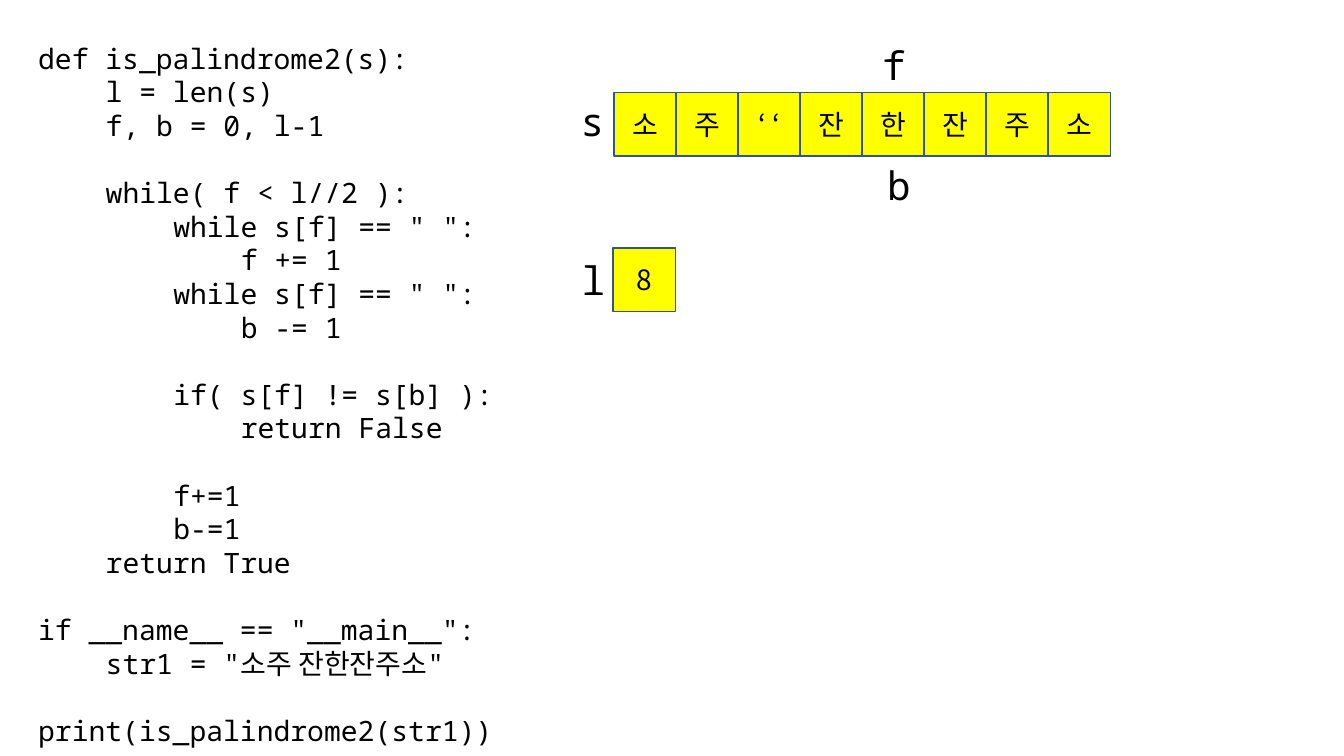
from lxml.etree import SubElement
from pptx import Presentation
from pptx.dml.color import RGBColor
from pptx.enum.shapes import MSO_SHAPE
from pptx.enum.text import MSO_ANCHOR, PP_ALIGN
from pptx.oxml.ns import qn
from pptx.util import Inches, Pt

BLACK = RGBColor(0x00, 0x00, 0x00)
YELLOW = RGBColor(0xFF, 0xFF, 0x00)
NAVY = RGBColor(0x32, 0x54, 0x91)
MONO = "Noto Sans Mono"
KOREAN = "Noto Sans CJK KR"
CODE_SIZE, NAME_SIZE = 20, 28
INDENT = Inches(0.67)
BLANK_LINE = Pt(24)
CELL_STEP, CELL_WIDTH, CELL_HEIGHT = 0.615, 0.62, 0.63
NAME_WIDTH, NAME_HEIGHT = 0.42, 0.57

CODE_BLOCKS = [
    [(0, "def is_palindrome2(s):"), (1, "l = len(s)"), (1, "f, b = 0, l-1")],
    [
        (1, "while( f < l//2 ):"),
        (2, 'while s[f] == " ":'),
        (3, "f += 1"),
        (2, 'while s[f] == " ":'),
        (3, "b -= 1"),
    ],
    [(2, "if( s[f] != s[b] ):"), (3, "return False")],
    [(2, "f+=1"), (2, "b-=1"), (1, "return True")],
    [(0, 'if __name__ == "__main__":'), (1, 'str1 = "소주 잔한잔주소"')],
    [(0, "print(is_palindrome2(str1))")],
]
LETTERS = ["소", "주", "‘ ‘", "잔", "한", "잔", "주", "소"]
NAMES = [("s", 5.66, 0.92), ("f", 8.65, 0.36), ("b", 8.7, 1.55), ("l", 5.67, 2.49)]


def write(paragraph, words, size, face):
    """Add black words in the given size and typeface."""
    run = paragraph.add_run()
    run.text = words
    for attribute, value in {"size": Pt(size), "name": face}.items():
        setattr(run.font, attribute, value)
    run.font.color.rgb = BLACK
    SubElement(run.font._element, qn("a:ea")).set("typeface", KOREAN)


def add_text_frame(slide, left, top, width, height):
    """Add a wrapping text box and return its text frame."""
    box = slide.shapes.add_textbox(
        Inches(left), Inches(top), Inches(width), Inches(height)
    )
    box.text_frame.word_wrap = True
    return box.text_frame


def add_code(slide, left, top, width, height):
    """Set the listing with nested indents and a gap before each block."""
    listing = add_text_frame(slide, left, top, width, height)
    line = listing.paragraphs[0]
    for block_number, block in enumerate(CODE_BLOCKS):
        for line_number, (depth, words) in enumerate(block):
            if block_number or line_number:
                line = listing.add_paragraph()
            if block_number and not line_number:
                line.space_before = BLANK_LINE
            line._p.get_or_add_pPr().set("marL", str(depth * INDENT))
            write(line, words, CODE_SIZE, MONO)


def add_cells(slide, left, top, values):
    """Draw a row of yellow memory cells, one for each value."""
    for position, value in enumerate(values):
        cell = slide.shapes.add_shape(
            MSO_SHAPE.RECTANGLE,
            Inches(left + position * CELL_STEP),
            Inches(top),
            Inches(CELL_WIDTH),
            Inches(CELL_HEIGHT),
        )
        cell.shadow.inherit = False
        cell.fill.solid()
        cell.fill.fore_color.rgb = YELLOW
        cell.line.color.rgb = NAVY
        cell.line.width = Pt(1)
        cell.text_frame.vertical_anchor = MSO_ANCHOR.MIDDLE
        content = cell.text_frame.paragraphs[0]
        content.alignment = PP_ALIGN.CENTER
        write(content, value, CODE_SIZE, KOREAN)


def add_name(slide, name, left, top):
    """Label a variable next to its cells."""
    label = add_text_frame(slide, left, top, NAME_WIDTH, NAME_HEIGHT)
    write(label.paragraphs[0], name, NAME_SIZE, MONO)


def main():
    """Build the palindrome slide and save it."""
    deck = Presentation()
    deck.slide_width, deck.slide_height = Inches(13.33), Inches(7.5)
    slide = deck.slides.add_slide(deck.slide_layouts[6])
    add_code(slide, 0.28, 0.36, 4.98, 6.83)
    add_cells(slide, 6.09, 0.92, LETTERS)
    add_cells(slide, 6.08, 2.46, ["8"])
    for name, left, top in NAMES:
        add_name(slide, name, left, top)
    deck.save("out.pptx")


if __name__ == "__main__":
    main()
